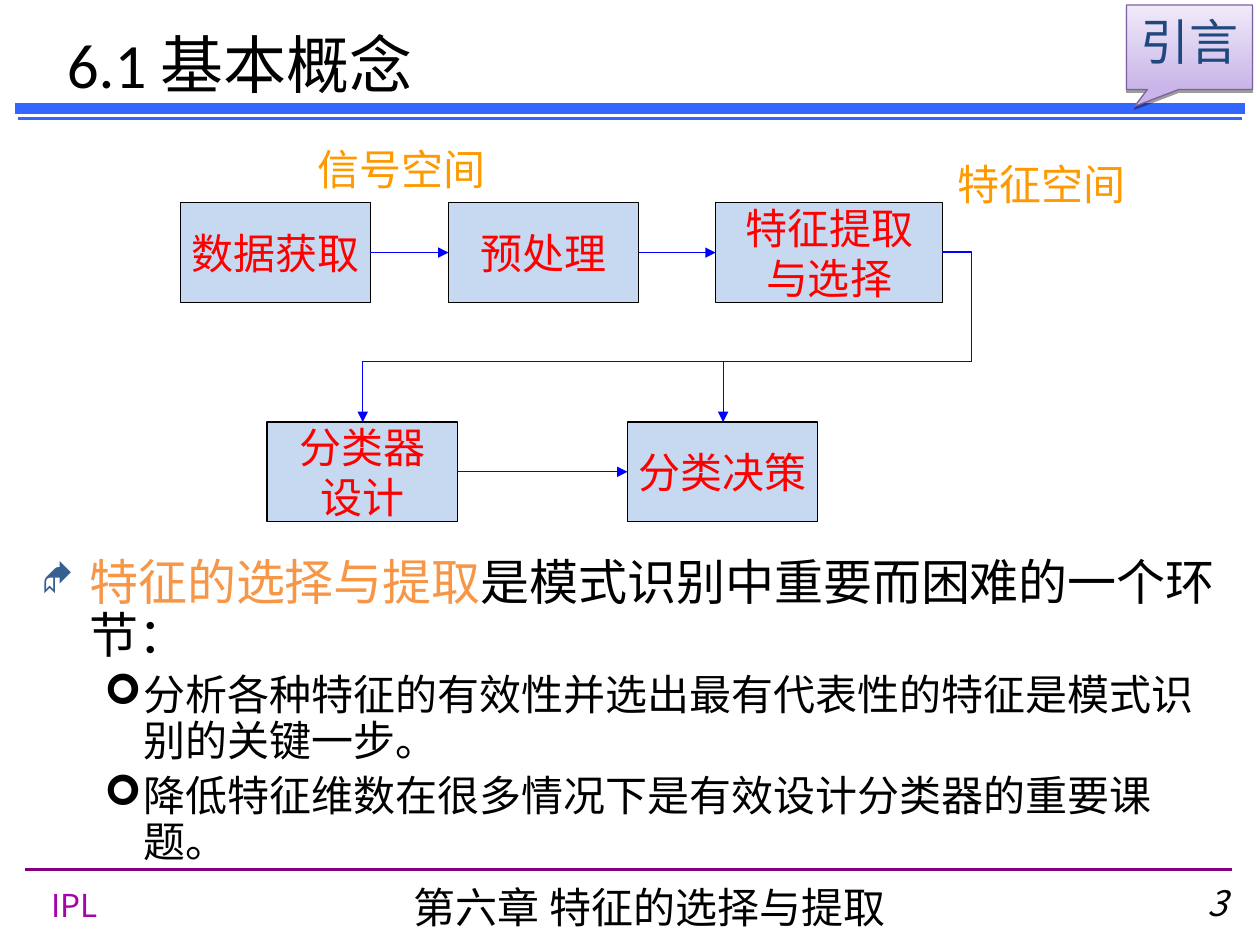
from lxml import etree
from pptx import Presentation
from pptx.dml.color import RGBColor
from pptx.enum.shapes import MSO_CONNECTOR, MSO_SHAPE
from pptx.enum.text import MSO_ANCHOR, PP_ALIGN
from pptx.oxml.ns import qn
from pptx.util import Inches, Pt

STRAIGHT, ELBOW = MSO_CONNECTOR.STRAIGHT, MSO_CONNECTOR.ELBOW
RECTANGLE, CALLOUT = MSO_SHAPE.RECTANGLE, MSO_SHAPE.RECTANGULAR_CALLOUT
LEFT, CENTER, RIGHT = PP_ALIGN.LEFT, PP_ALIGN.CENTER, PP_ALIGN.RIGHT
TOP, MIDDLE = MSO_ANCHOR.TOP, MSO_ANCHOR.MIDDLE
CALIBRI, NOTO = "Calibri", "Noto Sans CJK SC"
BLUE, BLACK = "0000FF", "000000"
BOX_WIDTH, BOX_HEIGHT = 1.51, 0.79
TOP_ROW, BOTTOM_ROW = 1.61, 3.35


def rgb(value):
    return RGBColor.from_string(value)


def add_child(parent, tag, **attributes):
    return etree.SubElement(parent, qn(tag), attributes)


def style(paragraph, size, color, font=CALIBRI, align=LEFT):
    paragraph.alignment = align
    paragraph.font.size = Pt(size)
    paragraph.font.name = font
    paragraph.font.color.rgb = rgb(color)


def add_label(slide, text, place, size, color, font=CALIBRI, align=LEFT):
    frame = slide.shapes.add_textbox(*map(Inches, place)).text_frame
    frame.word_wrap = True
    label = frame.paragraphs[0]
    label.text = text
    style(label, size, color, font, align)
    return label


def add_step(slide, text, left, top, width=BOX_WIDTH):
    step = slide.shapes.add_shape(RECTANGLE, *map(Inches, (left, top, width, BOX_HEIGHT)))
    step.shadow.inherit = False
    step.fill.solid()
    step.fill.fore_color.rgb = rgb("C6D9F1")
    step.line.color.rgb = rgb(BLACK)
    step.line.width = Pt(0.75)
    step.text_frame.word_wrap = False
    step.text_frame.vertical_anchor = MIDDLE
    caption = step.text_frame.paragraphs[0]
    caption.text = text
    style(caption, 24, "FF0000", align=CENTER)
    return step


def add_line(slide, start, end, color, width, kind=STRAIGHT, arrow=False, cap="flat"):
    line = slide.shapes.add_connector(kind, *map(Inches, (*start, *end)))
    line.line.color.rgb = rgb(color)
    line.line.width = Pt(width)
    outline = line._element.spPr.find(qn("a:ln"))
    outline.set("cap", cap)
    if arrow:
        add_child(outline, "a:tailEnd", type="triangle")
    add_child(line._element.spPr, "a:effectLst")
    return line


def add_flow(slide, source, target):
    flow = add_line(slide, (0, 0), (1, 1), BLUE, 0.75, arrow=True)
    flow.begin_connect(source, 3)
    flow.end_connect(target, 1)


def add_branch(slide, end_x):
    start_x, start_y, turn_x, turn_y = 7.48, 2, 7.71, 2.87
    branch = add_line(slide, (start_x, start_y), (end_x, BOTTOM_ROW), BLUE, 0.75, ELBOW, True)
    geometry = branch._element.spPr.find(qn("a:prstGeom"))
    geometry.set("prst", "bentConnector4")
    guides = geometry.find(qn("a:avLst"))
    if guides is None:
        guides = add_child(geometry, "a:avLst")
    ratios = ((start_x - turn_x) / (start_x - end_x),
              (turn_y - start_y) / (BOTTOM_ROW - start_y))
    for number, ratio in enumerate(ratios, 1):
        add_child(guides, "a:gd", name=f"adj{number}", fmla=f"val {round(ratio * 100000)}")


def add_callout(slide):
    callout = slide.shapes.add_shape(CALLOUT, *map(Inches, (8.94, 0.04, 1, 0.67)))
    callout.adjustments[0] = -0.435
    callout.adjustments[1] = 0.7
    callout.fill.gradient()
    callout.fill.gradient_angle = 90
    for stop, (position, color) in zip(callout.fill.gradient_stops,
                                       ((0, "C9B5E8"), (1, "F0EAF9"))):
        stop.position = position
        stop.color.rgb = rgb(color)
    callout.line.color.rgb = rgb("7D60A0")
    callout.line.width = Pt(0.75)
    callout.shadow.inherit = False
    effects = callout._element.spPr.find(qn("a:effectLst"))
    shadow = add_child(effects, "a:outerShdw", blurRad="0", dist=str(Pt(1.6)),
                       dir="5400000", rotWithShape="0")
    add_child(add_child(shadow, "a:srgbClr", val=BLACK), "a:alpha", val="38000")
    callout.text_frame.vertical_anchor = TOP
    caption = callout.text_frame.paragraphs[0]
    caption.text = "引言"
    style(caption, 28, "1F497D", align=CENTER)


def format_point(paragraph, bullet, color, percent, margin, hanging, space, size):
    paragraph.line_spacing = 0.9
    paragraph.space_before = Pt(space)
    properties = paragraph._p.get_or_add_pPr()
    properties.set("marL", str(Inches(margin)))
    properties.set("indent", str(-Inches(hanging)))
    properties.set("hangingPunct", "0")
    add_child(add_child(properties, "a:buClr"), "a:srgbClr", val=color)
    add_child(properties, "a:buSzPct", val=str(percent * 1000))
    add_child(properties, "a:buFont", typeface="Wingdings")
    add_child(properties, "a:buChar", char=bullet)
    style(paragraph, size, BLACK)


def add_points(slide):
    frame = slide.shapes.add_textbox(*map(Inches, (0.23, 4.38, 9.61, 2.44))).text_frame
    frame.word_wrap = True
    main_point = frame.paragraphs[0]
    format_point(main_point, "◆", "376092", 75, 0.38, 0.38, 7, 28)
    for text, color in (("特征的选择与提取", "F79646"),
                        ("是模式识别中重要而困难的一个环节：", BLACK)):
        run = main_point.add_run()
        run.text = text
        run.font.color.rgb = rgb(color)
    for text in ("分析各种特征的有效性并选出最有代表性的特征是模式识别的关键一步。",
                 "降低特征维数在很多情况下是有效设计分类器的重要课题。"):
        detail = frame.add_paragraph()
        detail.text = text
        detail.level = 1
        format_point(detail, "➢", BLACK, 100, 0.81, 0.31, 6, 24)


def add_title(slide):
    title = slide.shapes.title
    title.left, title.top, title.width, title.height = map(Inches, (0.43, 0.05, 3.94, 0.9))
    title.text_frame.vertical_anchor = MIDDLE
    heading = title.text_frame.paragraphs[0]
    heading.text = "6.1 基本概念"
    style(heading, 36, BLACK)


def add_frame(slide):
    add_line(slide, (0.2, 6.9), (9.78, 6.9), "800080", 1.5)
    for y, width in ((0.94, 2), (0.86, 6)):
        add_line(slide, (0.16, y), (9.84, y), "3366FF", width, cap="sq")
    add_label(slide, "IPL", (0.31, 6.98, 0.8, 0.39), 18, "A603AB", NOTO)
    add_label(slide, "第六章 特征的选择与提取", (2.89, 6.95, 4.53, 0.5), 24, BLACK, NOTO, CENTER)
    page = add_label(slide, "3", (8.98, 6.95, 0.86, 0.51), 20, BLACK, NOTO, RIGHT)
    page.font.italic = True


def add_diagram(slide):
    acquisition = add_step(slide, "数据获取", 1.43, TOP_ROW)
    preprocessing = add_step(slide, "预处理", 3.56, TOP_ROW)
    extraction = add_step(slide, "特征提取\n与选择", 5.68, TOP_ROW, 1.8)
    decision = add_step(slide, "分类决策", 4.98, BOTTOM_ROW)
    design = add_step(slide, "分类器\n设计", 2.12, BOTTOM_ROW)
    for source, target in ((acquisition, preprocessing), (preprocessing, extraction),
                           (design, decision)):
        add_flow(slide, source, target)
    for end_x in (2.88, 5.74):
        add_branch(slide, end_x)
    add_label(slide, "信号空间", (2.42, 1.09, 1.74, 0.5), 24, "FF9900")
    add_label(slide, "特征空间", (7.5, 1.21, 1.54, 0.5), 24, "FF9900")


def main():
    presentation = Presentation()
    presentation.slide_width, presentation.slide_height = Inches(10), Inches(7.5)
    slide = presentation.slides.add_slide(presentation.slide_layouts[5])
    add_frame(slide)
    add_title(slide)
    add_points(slide)
    add_callout(slide)
    add_diagram(slide)
    presentation.save("out.pptx")


if __name__ == "__main__":
    main()
